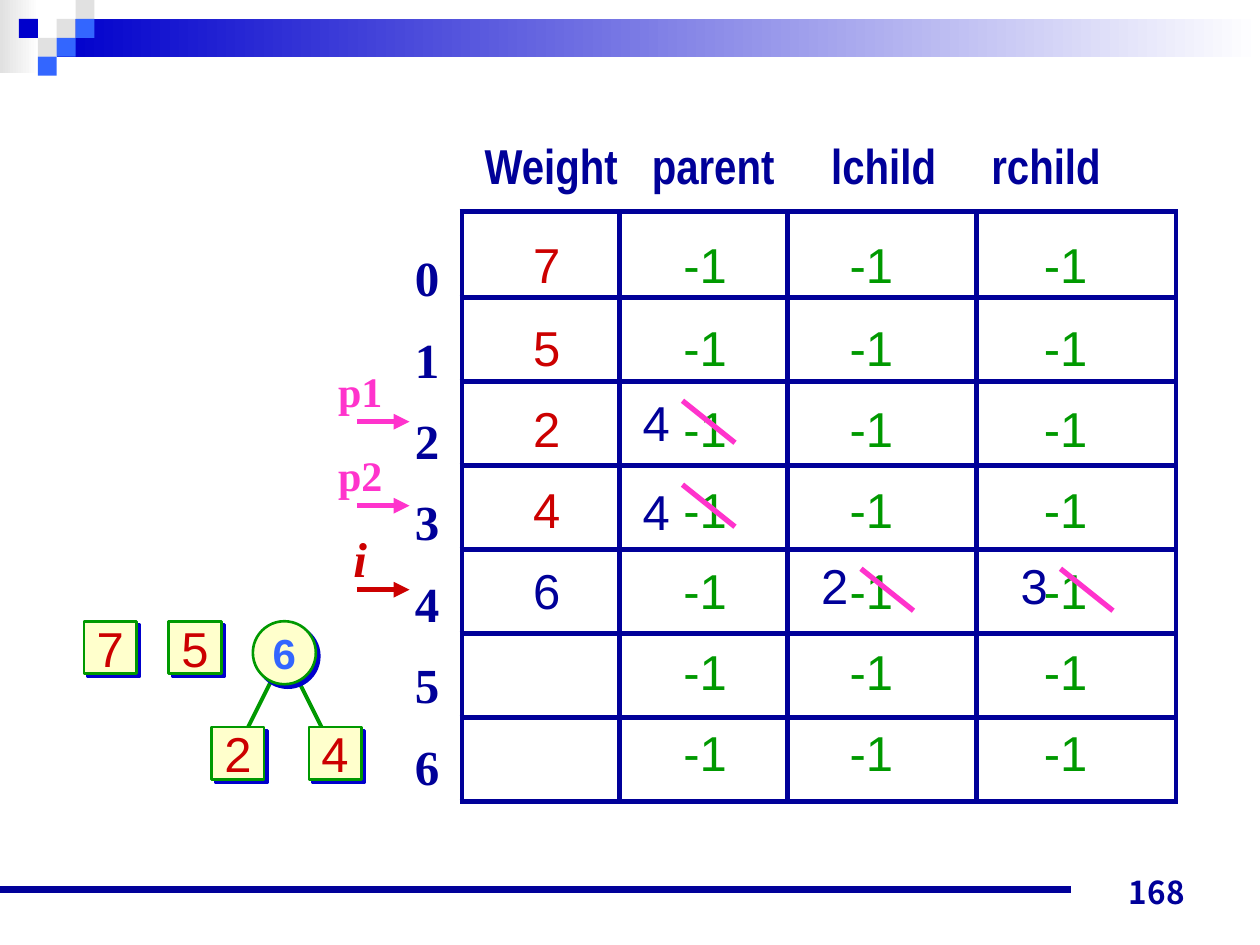
"""Build the Huffman tree slide: weight table, row pointers and the partial forest."""
from dataclasses import dataclass

from lxml.etree import SubElement
from pptx import Presentation
from pptx.dml.color import RGBColor
from pptx.enum.shapes import MSO_CONNECTOR, MSO_SHAPE
from pptx.enum.text import MSO_ANCHOR, PP_ALIGN
from pptx.oxml.ns import qn
from pptx.util import Pt


@dataclass(frozen=True)
class Theme:
    navy: RGBColor = RGBColor.from_string("000099")
    blue: RGBColor = RGBColor.from_string("0000CC")
    sky: RGBColor = RGBColor.from_string("3366FF")
    grey: RGBColor = RGBColor.from_string("E1E1E1")
    white: RGBColor = RGBColor.from_string("FFFFFF")
    cream: RGBColor = RGBColor.from_string("FFFFCC")
    green: RGBColor = RGBColor.from_string("009900")
    red: RGBColor = RGBColor.from_string("CC0000")
    pink: RGBColor = RGBColor.from_string("FF33CC")
    large: int = 28
    medium: int = 24
    small: int = 18
    sans: str = "Arial"
    narrow: str = "Arial Narrow"
    serif: str = "Times New Roman"
    number: str = "Noto Sans CJK JP"


theme = Theme()
deck = Presentation()
deck.slide_width, deck.slide_height = Pt(720), Pt(540)
page = deck.slides.add_slide(deck.slide_layouts[6])


def write(frame, text, color, size=theme.large, name=theme.sans, bold=False,
          align=PP_ALIGN.CENTER, anchor=MSO_ANCHOR.MIDDLE):
    frame.text = text
    frame.word_wrap = True
    frame.vertical_anchor = anchor
    frame.margin_left = frame.margin_right = frame.margin_top = frame.margin_bottom = 0
    for para in frame.paragraphs:
        para.alignment = align
        for span in para.runs:
            span.font.size, span.font.name, span.font.bold = Pt(size), name, bold
            span.font.color.rgb = color


def stroke(x1, y1, x2, y2, color, width=3, arrow=False):
    line = page.shapes.add_connector(MSO_CONNECTOR.STRAIGHT, Pt(x1), Pt(y1), Pt(x2), Pt(y2))
    line.line.color.rgb, line.line.width = color, Pt(width)
    if arrow:
        SubElement(line.line._get_or_add_ln(), qn("a:tailEnd"), type="triangle")
    SubElement(line._element.spPr, qn("a:effectLst"))


for left, top, width, height, color in [(0, 0, 22.3, 41.8, theme.grey),
                                        (32.4, 10.8, 687.6, 21.6, theme.blue)]:
    band = page.shapes.add_shape(MSO_SHAPE.RECTANGLE, Pt(left), Pt(top), Pt(width), Pt(height))
    band.shadow.inherit = False
    band.line.fill.background()
    band.fill.gradient()
    band.fill.gradient_angle = 0
    for stop, shade in zip(band.fill.gradient_stops, (color, theme.white)):
        stop.color.rgb = shade

tile = 10.8
for column, row, color in [(3, 1, theme.grey), (4, 0, theme.grey), (4, 1, theme.sky),
                           (2, 2, theme.grey), (1, 1, theme.blue), (3, 2, theme.sky),
                           (2, 3, theme.sky)]:
    square = page.shapes.add_shape(MSO_SHAPE.RECTANGLE, Pt(column * tile), Pt(row * tile),
                                   Pt(tile), Pt(tile))
    square.shadow.inherit = False
    square.line.fill.background()
    square.fill.solid()
    square.fill.fore_color.rgb = color

stroke(0, 508.3, 612, 508.3, theme.navy, 4.5)
box = page.shapes.add_textbox(Pt(516), Pt(488), Pt(168), Pt(36))
write(box.text_frame, "168", theme.navy, theme.small, theme.number, True,
      PP_ALIGN.RIGHT, MSO_ANCHOR.BOTTOM)
box.text_frame.margin_right = Pt(7.2)
box.text_frame.margin_bottom = Pt(3.6)

stroke(168.5, 385, 186.5, 421, theme.green, 2.25)
stroke(157, 385, 139, 421, theme.green, 2.25)
for text, left, top, side, outline in [("7", 48, 355, 30, MSO_SHAPE.RECTANGLE),
                                       ("5", 96.5, 355, 30, MSO_SHAPE.RECTANGLE),
                                       ("2", 121, 415.5, 30, MSO_SHAPE.RECTANGLE),
                                       ("4", 176.5, 415.5, 30, MSO_SHAPE.RECTANGLE),
                                       ("6", 144.5, 355, 36, MSO_SHAPE.OVAL)]:
    node = page.shapes.add_shape(outline, Pt(left), Pt(top), Pt(side), Pt(side))
    node.fill.solid()
    node.fill.fore_color.rgb = theme.cream
    node.line.color.rgb, node.line.width = theme.green, Pt(1.5)
    node.shadow.inherit = False
    effects = node._element.spPr.find(qn("a:effectLst"))
    shadow = SubElement(effects, qn("a:outerShdw"), dist=str(Pt(2.8)), dir="2700000",
                        algn="ctr", rotWithShape="0")
    SubElement(shadow, qn("a:srgbClr"), val=str(theme.blue))
    if outline == MSO_SHAPE.OVAL:
        write(node.text_frame, text, theme.sky, theme.medium, bold=True)
    else:
        write(node.text_frame, text, theme.red)

header = page.shapes.add_textbox(Pt(277), Pt(74), Pt(366), Pt(41))
write(header.text_frame, "", theme.navy)
heading = header.text_frame.paragraphs[0]
heading.text = "Weight\tparent\tlchild\trchild"
heading.alignment = PP_ALIGN.LEFT
tabs = SubElement(heading._p.get_or_add_pPr(), qn("a:tabLst"))
for position in (95.5, 198, 289.5):
    SubElement(tabs, qn("a:tab"), pos=str(Pt(position)), algn="l")
for span in heading.runs:
    span.font.size, span.font.name, span.font.bold = Pt(theme.large), theme.narrow, True
    span.font.color.rgb = theme.navy

table_left, table_top, row_height = 264, 121, 48
column_widths = (90, 96, 108, 114)
side_margins = ((7, 0), (2, 0), (0, 12), (0, 12))
weights = ("7", "5", "2", "4", "6", "", "")
table = page.shapes.add_table(len(weights), 4, Pt(table_left), Pt(table_top),
                              Pt(sum(column_widths)), Pt(row_height * len(weights))).table
table.first_row = table.horz_banding = False
for column, width in zip(table.columns, column_widths):
    column.width = Pt(width)
for row, weight in enumerate(weights):
    table.rows[row].height = Pt(row_height)
    for column, text in enumerate((weight, "-1", "-1", "-1")):
        cell = table.cell(row, column)
        cell.text = text
        cell.margin_left, cell.margin_right = map(Pt, side_margins[column])
        cell.margin_top, cell.margin_bottom = Pt(15.5 - 1.7 * row), 0
        para = cell.text_frame.paragraphs[0]
        para.alignment = PP_ALIGN.CENTER
        for span in para.runs:
            span.font.size, span.font.name = Pt(theme.large), theme.sans
            weight_color = theme.navy if row == 4 else theme.red
            span.font.color.rgb = theme.green if column else weight_color
        for edge in ("lnL", "lnR", "lnT", "lnB"):
            border = SubElement(cell._tc.get_or_add_tcPr(), qn(f"a:{edge}"), w=str(Pt(3)))
            paint = SubElement(border, qn("a:solidFill"))
            SubElement(paint, qn("a:srgbClr"), val=str(theme.navy))
        cell.fill.background()

indexes = page.shapes.add_textbox(Pt(229.5), Pt(127.5), Pt(29), Pt(324.5))
write(indexes.text_frame, "\n".join(map(str, range(len(weights)))), theme.navy,
      name=theme.serif, bold=True, anchor=MSO_ANCHOR.TOP)
indexes.text_frame.margin_top = Pt(14)
for para in indexes.text_frame.paragraphs[1:]:
    para.space_before = Pt(12.9)

for text, row, color, size in [("p1", 2, theme.pink, theme.medium),
                               ("p2", 3, theme.pink, theme.medium),
                               ("i", 4, theme.red, theme.large)]:
    middle = table_top + row_height * (row + 0.5)
    stroke(204, middle, 234, middle, color, arrow=True)
    pointer = page.shapes.add_textbox(Pt(186), Pt(middle - 36), Pt(39.6), Pt(36))
    write(pointer.text_frame, text, color, size, theme.serif, True)
    pointer.text_frame.paragraphs[0].runs[0].font.italic = text == "i"

for text, row, left, shift in [("4", 2, 390, 0), ("4", 3, 390, 3),
                               ("2", 4, 492, -2.5), ("3", 4, 606, -2.5)]:
    middle = table_top + row_height * (row + 0.5)
    stroke(left, middle - 12, left + 30, middle + 12, theme.pink)
    value = page.shapes.add_textbox(Pt(left - 30), Pt(middle + shift - 20.5), Pt(30), Pt(41))
    write(value.text_frame, text, theme.navy)

deck.save("out.pptx")
